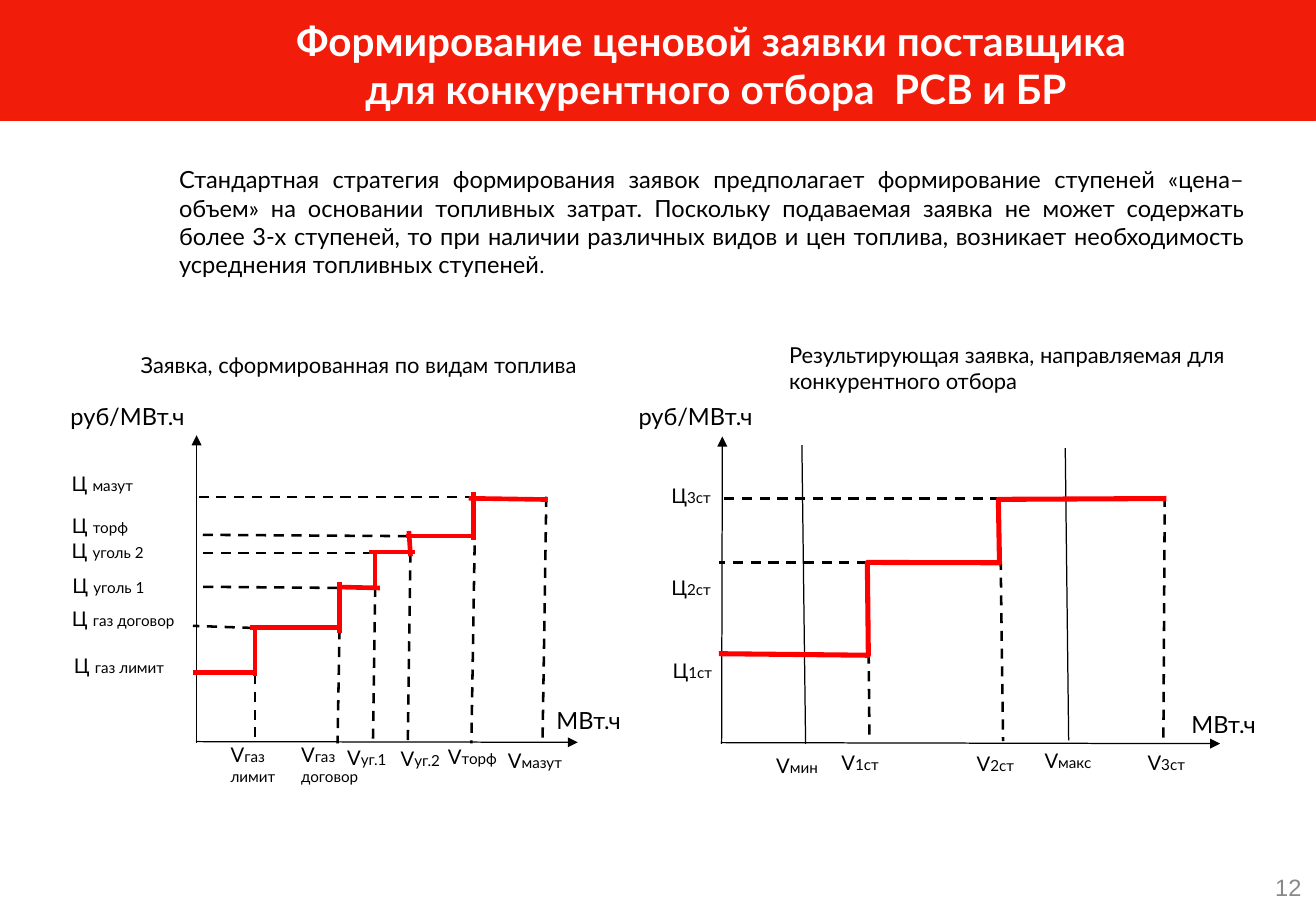
import pptx
import pptx.util
import pptx.dml.color
import pptx.enum.dml
import pptx.enum.shapes
import pptx.enum.text
from lxml import etree

Pt = pptx.util.Pt
ALIGN = pptx.enum.text.PP_ALIGN
ANCHOR = pptx.enum.text.MSO_ANCHOR
qn = pptx.oxml.ns.qn
COLORS = {name: pptx.dml.color.RGBColor.from_string(value) for name, value in {
    "banner": "F21C0A", "step": "FF0000", "ink": "000000",
    "white": "FFFFFF", "number": "898989"}.items()}

deck = pptx.Presentation()
deck.slide_width = Pt(780.48)
deck.slide_height = Pt(540)
slide = deck.slides.add_slide(deck.slide_layouts[6])


def add_text(box, runs, align=ALIGN.LEFT, anchor=ANCHOR.TOP, inset=(0, 0),
             font="Lato", color="ink", bold=False):
    """Write (text, size) runs into one paragraph; a None run breaks the line."""
    frame = slide.shapes.add_textbox(*[Pt(v) for v in box]).text_frame
    frame.word_wrap = True
    frame.vertical_anchor = anchor
    frame.margin_left = frame.margin_right = Pt(inset[0])
    frame.margin_top = frame.margin_bottom = Pt(inset[1])
    paragraph = frame.paragraphs[0]
    paragraph.alignment = align
    for part in runs:
        if part is None:
            paragraph.add_line_break()
            continue
        run = paragraph.add_run()
        run.text = part[0]
        run.font.size = Pt(part[1])
        run.font.name = font
        run.font.bold = bold
        run.font.color.rgb = COLORS[color]


def add_line(ends, width, color="ink", dashed=False, arrow=False):
    connector = slide.shapes.add_connector(
        pptx.enum.shapes.MSO_CONNECTOR.STRAIGHT, *[Pt(v) for v in ends])
    connector.line.width = Pt(width)
    connector.line.color.rgb = COLORS[color]
    if dashed:
        connector.line.dash_style = pptx.enum.dml.MSO_LINE.DASH
    properties = connector.element.spPr
    stroke = properties.find(qn("a:ln"))
    stroke.set("cap", "sq")
    if arrow:
        etree.SubElement(stroke, qn("a:tailEnd"), type="triangle")
    etree.SubElement(properties, qn("a:effectLst"))


# Heading and introduction
banner = slide.shapes.add_shape(
    pptx.enum.shapes.MSO_SHAPE.RECTANGLE, 0, 0, Pt(780), Pt(71.3))
banner.shadow.inherit = False
banner.fill.solid()
banner.fill.fore_color.rgb = COLORS["banner"]
banner.line.color.rgb = COLORS["banner"]
banner.line.width = Pt(0.75)

add_text((83.8, 9.4, 681.8, 58.3),
         [("Формирование ценовой заявки поставщика ", 24), None,
          ("для конкурентного отбора  РСВ и БР", 24)],
         align=ALIGN.CENTER, color="white", bold=True)
add_text((106.2, 98, 632.2, 67.2),
         [("Стандартная стратегия формирования заявок предполагает формирование "
           "ступеней «цена–объем» на основании топливных затрат. Поскольку "
           "подаваемая заявка не может содержать более 3-х ступеней, то при "
           "наличии различных видов и цен топлива, возникает необходимость "
           "усреднения топливных ступеней", 14), (".", 12)],
         align=ALIGN.JUSTIFY)

# Chart titles and axis units
for left, top, width, title in [
        (76.3, 195.8, 279.4, "Заявка, сформированная по видам топлива"),
        (461, 197.6, 302.4,
         "Результирующая заявка, направляемая для конкурентного отбора")]:
    add_text((left, top, width, 41), [(title, 13)],
             anchor=ANCHOR.MIDDLE, inset=(7.2, 3.6))

for left, top, width, unit in [
        (41.8, 238, 77.8, "руб/МВт.ч"), (378.7, 238, 77.8, "руб/МВт.ч"),
        (330, 418.7, 48.2, "МВт.ч"), (706.6, 420.5, 48.2, "МВт.ч")]:
    add_text((left, top, width, 16.8), [(unit, 14)])

# Axes and volume limits
for axis in [(116.6, 439.9, 116.6, 258), (116.6, 439.6, 342.7, 440),
             (428, 440.6, 428.4, 258.8), (428, 440.2, 723.6, 440.8)]:
    add_line(axis, 0.75, arrow=True)
for volume_limit in [(475.6, 264.2, 477.8, 440.6), (631.8, 266, 633.8, 438.5)]:
    add_line(volume_limit, 0.75)

# Guides from the steps to the axes
for guide in [
        # fuel bid, volumes
        (151.2, 400.3, 151.2, 439.9), (201.4, 373.7, 200.2, 439.9),
        (222.5, 348.5, 221.2, 439.9), (243.4, 328.3, 241.9, 439.9),
        (281.5, 324, 279.6, 439.9), (324, 295.2, 321.8, 438.5),
        # fuel bid, prices
        (149, 372.2, 115.2, 371), (199.4, 348.5, 116.6, 347.8),
        (220.3, 327.8, 116.6, 327.8), (241.2, 317.8, 115.2, 317),
        (280.8, 294.7, 115.2, 294.7),
        # resulting bid
        (515.2, 388.1, 515.7, 439.9), (593.5, 332.6, 594.9, 438.5),
        (690.8, 295.2, 690, 439.2), (513.6, 333.4, 427, 333.4),
        (592.6, 295.5, 427, 295.5)]:
    add_line(guide, 1.5, dashed=True)

# Bid steps
for fuel_step in [
        (115.9, 398.5, 151.2, 398.5), (151.2, 399.6, 151.2, 371.8),
        (149.8, 372, 201.6, 372), (201.2, 373.7, 201.2, 346.5),
        (201.6, 348, 223.9, 348.5), (222.5, 348.5, 222.5, 327.6),
        (220.3, 327.2, 244.8, 327.2), (243.4, 328.3, 242.6, 316.1),
        (241.9, 317.8, 280.8, 317.8), (280.8, 319, 280.8, 293.2),
        (279.4, 295.4, 323.3, 296.1)]:
    add_line(fuel_step, 2.75, color="step")

corners = [(Pt(x), Pt(y)) for x, y in [
    (427.8, 387.5), (515, 388.4), (514.4, 333.4),
    (592.8, 333.6), (592.1, 296), (690.2, 295.5)]]
outline = slide.shapes.build_freeform(*corners[0])
outline.add_line_segments(corners[1:], close=False)
resulting_bid = outline.convert_to_shape()
resulting_bid.shadow.inherit = False
resulting_bid.fill.background()
resulting_bid.line.color.rgb = COLORS["step"]
resulting_bid.line.width = Pt(3)
resulting_bid.element.spPr.find(qn("a:ln")).set("cap", "sq")

# Price and volume labels: left, top, width, symbol, index
for left, top, width, symbol, index in [
        (42.5, 279.4, 54.7, "Ц ", "мазут"),
        (42.7, 304, 54.7, "Ц ", "торф"),
        (42.5, 319, 51.8, "Ц ", "уголь 2"),
        (43, 340, 55.4, "Ц ", "уголь 1"),
        (42.7, 359.3, 64.8, "Ц ", "газ договор"),
        (43.9, 387.4, 64.8, "Ц ", "газ лимит"),
        (136.8, 440.2, 43.2, "V", "газ лимит"),
        (178.6, 440.2, 43.2, "V", "газ договор"),
        (205.9, 441.6, 42.5, "V", "уг.1"),
        (237.6, 442.3, 42.5, "V", "уг.2"),
        (265.7, 441.4, 39.6, "V", "торф"),
        (301.2, 443.7, 39.6, "V", "мазут"),
        (398.2, 286.6, 28.8, "Ц", "3ст"),
        (398.2, 340.8, 28.8, "Ц", "2ст"),
        (398.9, 390.4, 28.8, "Ц", "1ст"),
        (460.4, 446.7, 33.1, "V", "мин"),
        (499, 445, 28.8, "V", "1ст"),
        (579.2, 445.2, 28.8, "V", "2ст"),
        (619.5, 443.8, 33.8, "V", "макс"),
        (680.6, 445, 28.8, "V", "3ст")]:
    add_text((left, top, width, 14.4), [(symbol, 12), (index, 9)])

add_text((740.2, 512.2, 40.28, 27.8), [("12", 14)], align=ALIGN.RIGHT,
         anchor=ANCHOR.MIDDLE, inset=(8.6, 4.3), font="Arial", color="number")

deck.save("out.pptx")
